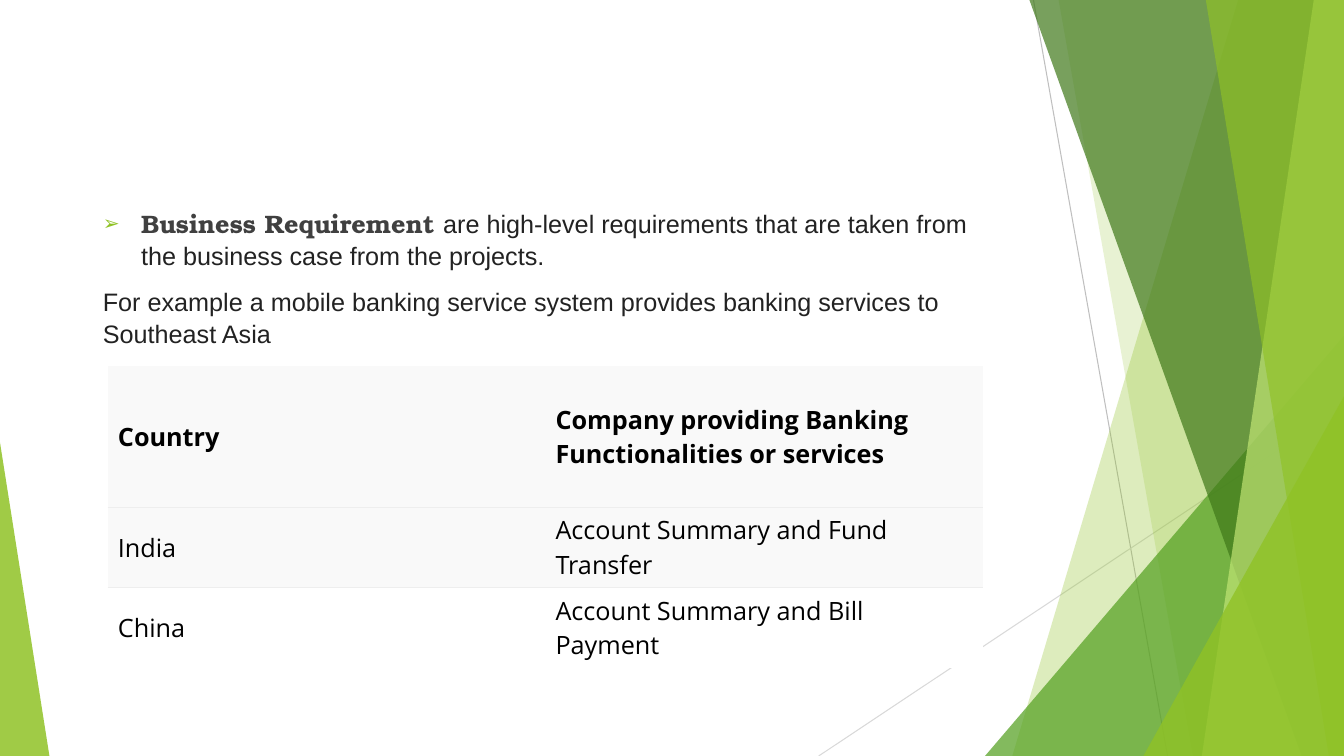
from lxml import etree
from pptx import Presentation
from pptx import util as u
from pptx.dml.color import RGBColor
from pptx.enum import shapes, text
from pptx.oxml import ns

COLORS = {
    "lime": "90C226", "green": "54A021", "forest": "3F7819", "pale": "C0E474",
    "gray": "BFBFBF", "mist": "D9D9D9", "rule": "EEEEEE", "head": "F9F9F9",
    "white": "FFFFFF", "black": "000000", "ink": "222222", "dark": "404040",
}
WIDE, HIGH = 13.33, 7.5
PLAIN = "{2D5ABB26-0587-4C30-8999-92F81FD0307C}"


def sub(node, tag, **attrs):
    return etree.SubElement(node, ns.qn(tag), **attrs)


class Deck:
    size = u.Pt(18)

    def __init__(self):
        self.prs = Presentation()
        self.prs.slide_width = u.Inches(WIDE)
        self.prs.slide_height = u.Inches(HIGH)
        self.slide = self.prs.slides.add_slide(self.prs.slide_layouts[1])
        title = self.slide.shapes.title._element
        title.getparent().remove(title)

    def color(self, name):
        return RGBColor.from_string(COLORS[name])

    def paint(self, shape, name, alpha):
        shape.shadow.inherit = False
        shape.line.fill.background()
        shape.fill.solid()
        shape.fill.fore_color.rgb = self.color(name)
        tone = shape._element.spPr.find(".//" + ns.qn("a:srgbClr"))
        sub(tone, "a:alpha", val=str(alpha * 1000))

    def line(self, start, end, name):
        points = [u.Inches(n) for n in (*start, *end)]
        link = self.slide.shapes.add_connector(shapes.MSO_CONNECTOR.STRAIGHT, *points)
        link.line.color.rgb = self.color(name)
        link.line.width = u.Pt(0.75)
        sub(link._element.spPr, "a:effectLst")

    def band(self, top, foot, name, alpha):
        points = [(top, 0), (WIDE, 0), (WIDE, HIGH), (foot, HIGH)]
        points = [(u.Inches(x), u.Inches(y)) for x, y in points]
        form = self.slide.shapes.build_freeform(*points[0])
        form.add_line_segments(points[1:])
        self.paint(form.convert_to_shape(), name, alpha)

    def wedge(self, left, top, width, tip, name, alpha):
        box = [u.Inches(n) for n in (left, top, width, HIGH - top)]
        shape = self.slide.shapes.add_shape(shapes.MSO_SHAPE.ISOSCELES_TRIANGLE, *box)
        shape.adjustments[0] = tip
        self.paint(shape, name, alpha)

    def run(self, para, words, font, name, bold=False):
        run = para.add_run()
        run.text = words
        run.font.name = font
        run.font.size = self.size
        run.font.bold = bold
        run.font.color.rgb = self.color(name)

    def body(self, box, paras):
        hold = self.slide.placeholders[1]
        hold.left, hold.top, hold.width, hold.height = [u.Inches(n) for n in box]
        frame = hold.text_frame
        frame.word_wrap = True
        frame.auto_size = text.MSO_AUTO_SIZE.NONE
        frame.vertical_anchor = text.MSO_ANCHOR.TOP
        for i, (mark, runs) in enumerate(paras):
            para = frame.add_paragraph() if i else frame.paragraphs[0]
            para.space_before = u.Pt(10)
            para.line_spacing = 1.06
            self.bullet(para, mark)
            for part in runs:
                self.run(para, *part)

    def bullet(self, para, mark):
        props = para._p.get_or_add_pPr()
        dent = u.Inches(0.38) if mark else 0
        props.set("marL", str(dent))
        props.set("indent", str(-dent))
        if not mark:
            sub(props, "a:buNone")
            return
        sub(sub(props, "a:buClr"), "a:srgbClr", val=COLORS["lime"])
        sub(props, "a:buSzPct", val="80000")
        sub(props, "a:buChar", char=mark)

    def table(self, box, rows, highs, fills):
        box = [u.Inches(n) for n in box]
        grid = self.slide.shapes.add_table(len(rows), len(rows[0]), *box).table
        grid.first_row = grid.horz_banding = False
        grid._tbl.tblPr.find(ns.qn("a:tableStyleId")).text = PLAIN
        last = len(rows) - 1
        for r, row in enumerate(rows):
            grid.rows[r].height = u.Inches(highs[r])
            edges = ["a:lnT"] * (r > 0) + ["a:lnB"] * (r < last)
            for c, words in enumerate(row):
                cell = grid.cell(r, c)
                cell.vertical_anchor = text.MSO_ANCHOR.MIDDLE
                cell.fill.solid()
                cell.fill.fore_color.rgb = self.color(fills[r])
                self.run(cell.text_frame.paragraphs[0], words, "Open Sans", "black", r == 0)
                self.border(cell, edges)

    def border(self, cell, edges):
        props = cell._tc.get_or_add_tcPr()
        for i, edge in enumerate(edges):
            rule = etree.Element(ns.qn(edge), w=str(u.Pt(0.6)))
            sub(sub(rule, "a:solidFill"), "a:srgbClr", val=COLORS["rule"])
            props.insert(i, rule)


deck = Deck()
deck.line((10.25, 0), (11.58, HIGH), "gray")
deck.line((WIDE, 4.03), (8.12, HIGH), "mist")
deck.band(12.28, 10.04, "lime", 30)
deck.band(10.5, 11.83, "lime", 20)
deck.wedge(9.77, 3.33, 3.56, 1, "green", 72)
deck.band(10.21, 12.91, "forest", 70)
deck.band(13.03, 11.92, "pale", 70)
deck.band(11.96, 13.18, "lime", 65)
deck.wedge(11.34, 3.93, 1.99, 1, "lime", 80)
deck.wedge(0, 4.39, 0.49, 0, "lime", 85)

deck.body((0.92, 2, 9.07, 4.76), [
    ("\u27a2", [
        ("Business Requirement ", "TeX Gyre Bonum", "dark", True),
        ("are high-level requirements that are taken from the business case "
         "from the projects.", "Arial", "ink"),
    ]),
    (None, [
        ("For example a mobile banking service system provides banking services "
         "to Southeast Asia", "Arial", "ink"),
    ]),
])
deck.table((1.07, 3.63, 8.68, 3), [
    ("Country", "Company providing Banking Functionalities or services"),
    ("India", "Account Summary and Fund Transfer"),
    ("China", "Account Summary and Bill Payment"),
], (1.4, 0.8, 0.8), ("head", "head", "white"))

deck.prs.save("out.pptx")
